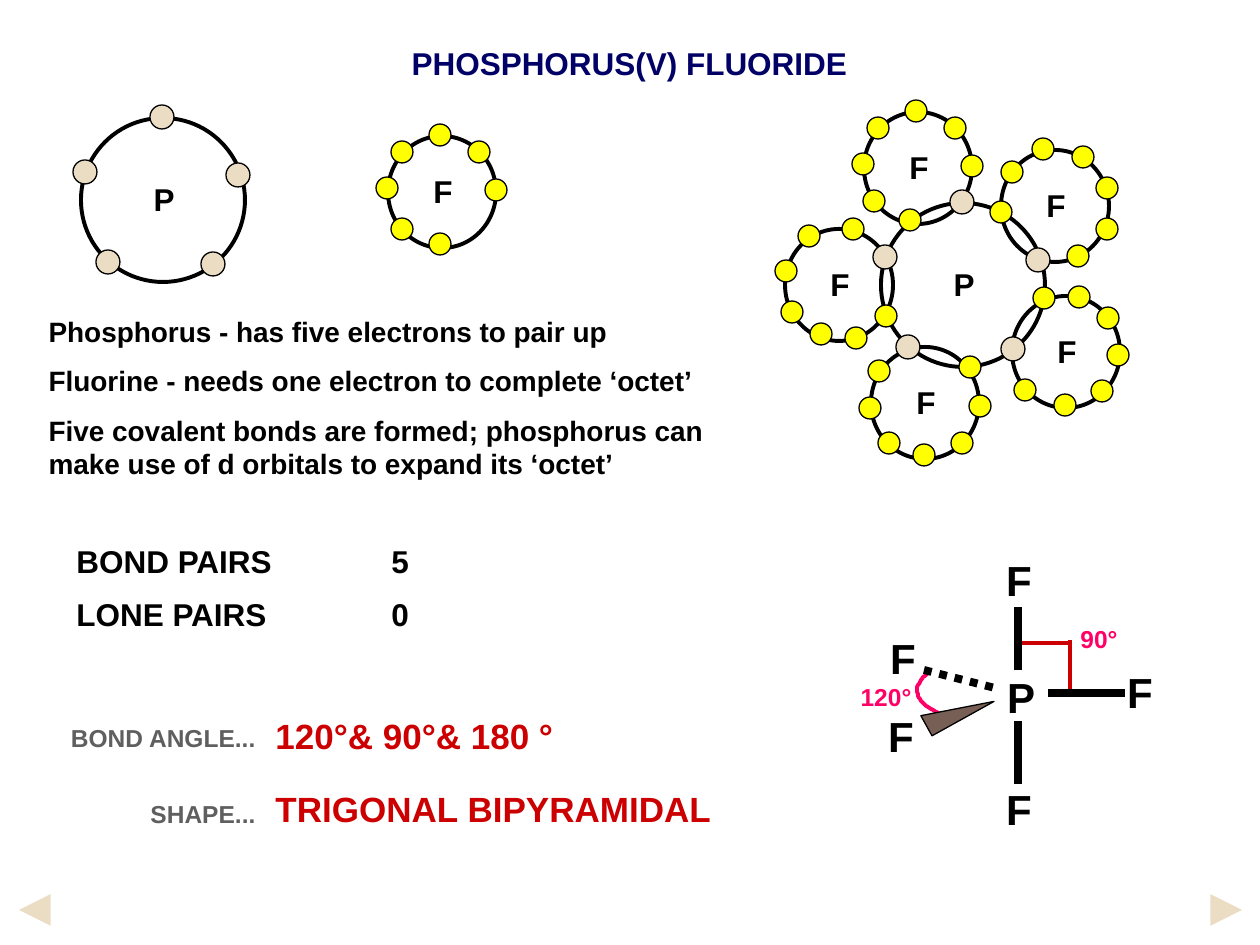
import pptx
import pptx.util
import pptx.dml.color
import pptx.enum.dml
import pptx.enum.shapes
import pptx.enum.text
import pptx.oxml.ns
from lxml import etree

RGB = pptx.dml.color.RGBColor
BLACK = RGB(0x00, 0x00, 0x00)
NAVY = RGB(0x00, 0x00, 0x66)
RED = RGB(0xCC, 0x00, 0x00)
PINK = RGB(0xFF, 0x00, 0x66)
GREY = RGB(0x5F, 0x5F, 0x5F)
TAN = RGB(0xEB, 0xDD, 0xC3)
YELLOW = RGB(0xFF, 0xFF, 0x00)
BROWN = RGB(0x77, 0x5F, 0x55)

KIND = pptx.enum.shapes.MSO_SHAPE
ALIGN = pptx.enum.text.PP_ALIGN
qn = pptx.oxml.ns.qn
SCALE = 914400 / 126

P_DOTS = [(-1, -83), (-78, -28), (-55, 62), (50, 64), (75, -25)]
F_DOTS = [(54, -2), (-2, -57), (-55, -4), (37, -40), (-40, -40), (-2, 52), (-40, 37)]
P_ATOM = ("P", 164, 164, 24, TAN, P_DOTS)
F_ATOM = ("F", 108, 112, 22, YELLOW, F_DOTS)
BONDED = [
    (144, 69, F_DOTS[:5] + [(-8, 52), (-44, 33)]),
    (65, 186, [(17, 53), (14, -56), (-53, -14), (47, 31), (-30, -49), (-18, 49), (-47, 27)]),
    (292, 253, [(36, 39), (13, -55), (42, -34), (52, 3), (-22, -54), (-1, 53), (-41, 38)]),
    (281, 107, [(52, 23), (28, -49), (-43, -34), (52, -18), (-12, -57), (23, 50), (-54, 6)]),
    (151, 304, [(55, 3), (37, 40), (-55, 5), (45, -36), (-46, -32), (-1, 52), (-36, 40)]),
]


def px(n):
    """Turn pixels into EMU."""
    return pptx.util.Emu(round(n * SCALE))


def style(frame, size, color, align=ALIGN.LEFT, gap=0, pitch=None, wrap=False):
    """Format every paragraph and run of a text frame."""
    frame.auto_size = pptx.enum.text.MSO_AUTO_SIZE.NONE
    frame.word_wrap = wrap
    frame.vertical_anchor = pptx.enum.text.MSO_ANCHOR.MIDDLE
    for i, para in enumerate(frame.paragraphs):
        para.alignment = align
        para.space_before = pptx.util.Pt(gap if i else 0)
        if pitch:
            para.line_spacing = pptx.util.Pt(pitch)
        for run in para.runs:
            run.font.name = "Arial"
            run.font.size = pptx.util.Pt(size)
            run.font.bold = True
            run.font.color.rgb = color


def place(shape, box):
    """Move a shape to a pixel box."""
    shape.left, shape.top, shape.width, shape.height = map(px, box)


def text(shapes, box, words, size, color, **look):
    """Add a text box."""
    item = shapes.add_textbox(*map(px, box))
    item.text_frame.text = words
    style(item.text_frame, size, color, **look)


def label(shapes, x, y, words, size, color):
    """Add a short text centred on a point."""
    text(shapes, (x - 40, y - 30, 80, 60), words, size, color, align=ALIGN.CENTER)


def shape(shapes, kind, box, fill=None, width=0.75):
    """Add a preset shape with a black outline."""
    item = shapes.add_shape(kind, *map(px, box))
    item.shadow.inherit = False
    if fill is None:
        item.fill.background()
    else:
        item.fill.solid()
        item.fill.fore_color.rgb = fill
    item.line.color.rgb = BLACK
    item.line.width = pptx.util.Pt(width)
    return item


def disc(shapes, x, y, w, h, fill=None, width=0.75):
    """Add an ellipse centred on a point."""
    shape(shapes, KIND.OVAL, (x - w / 2, y - h / 2, w, h), fill, width)


def line(shapes, ends, color, width, dash=None, head=False):
    """Add a straight line, with an arrowhead if asked."""
    item = shapes.add_connector(pptx.enum.shapes.MSO_CONNECTOR.STRAIGHT, *map(px, ends))
    item.line.color.rgb = color
    item.line.width = pptx.util.Pt(width)
    if dash:
        item.line.dash_style = dash
    props = item._element.spPr
    if head:
        etree.SubElement(props.find(qn("a:ln")), qn("a:tailEnd"), type="triangle")
    etree.SubElement(props, qn("a:effectLst"))


def atoms(slide, x, y, parts):
    """Draw shells first, then the electrons and names, from a corner."""
    group = slide.shapes.add_group_shape().shapes
    for left, top, (name, w, h, size, fill, dots) in parts:
        disc(group, x + left, y + top, w, h, width=2.25)
    for left, top, (name, w, h, size, fill, dots) in parts:
        for dx, dy in dots:
            disc(group, x + left + dx, y + top + dy, size, size, fill)
        label(group, x + left + 1, y + top - 1, name, 18, BLACK)


def curve(shapes, x, y, points, steps=24):
    """Draw an open pink Bezier curve."""
    spots = []
    for i in range(steps + 1):
        t = i / steps
        parts = ((1 - t) ** 3, 3 * t * (1 - t) ** 2, 3 * t * t * (1 - t), t ** 3)
        spots.append((x + sum(k * p[0] for k, p in zip(parts, points)),
                      y + sum(k * p[1] for k, p in zip(parts, points))))
    build = shapes.build_freeform(*spots[0], scale=SCALE)
    build.add_line_segments(spots[1:], close=False)
    item = build.convert_to_shape()
    item.shadow.inherit = False
    item.fill.background()
    item.line.color.rgb = PINK
    item.line.width = pptx.util.Pt(2.25)


def model(slide, x, y):
    """Draw the bond model from its top left corner."""
    group = slide.shapes.add_group_shape().shapes
    curve(group, x, y, [(91, 165), (66, 155), (63, 138), (79, 126)])
    for name, left, top in [("F", 171, 32), ("P", 173, 149), ("F", 171, 261),
                            ("F", 292, 144), ("F", 55, 110), ("F", 53, 188)]:
        label(group, x + left, y + top, name, 24, BLACK)
    for name, left, top in [("120°", 38, 149), ("90°", 251, 91)]:
        label(group, x + left, y + top, name, 14, PINK)
    dots = pptx.enum.dml.MSO_LINE.ROUND_DOT
    for (a, b, c, d), color, width, dash in [
        ((200, 145, 277, 145), BLACK, 4.5, None),
        ((170, 173, 170, 236), BLACK, 4.5, None),
        ((170, 59, 170, 122), BLACK, 4.5, None),
        ((174, 95, 222, 95), RED, 2.25, None),
        ((222, 141, 222, 92), RED, 2.25, None),
        ((76, 122, 147, 140), BLACK, 4.5, dots),
    ]:
        line(group, (x + a, y + b, x + c, y + d), color, width, dash)
    wedge = shape(group, KIND.RIGHT_TRIANGLE, (x + 74, y + 149, 71, 23), BROWN)
    wedge.rotation = 331


def heading(slide, box):
    """Fill the title."""
    place(slide.shapes.title, box)
    frame = slide.shapes.title.text_frame
    frame.text = "PHOSPHORUS(V) FLUORIDE"
    style(frame, 18, NAVY, align=ALIGN.CENTER)


def notes(slide, box):
    """Fill the body with plain paragraphs."""
    body = slide.placeholders[1]
    place(body, box)
    body.text_frame.text = "\n".join([
        "Phosphorus - has five electrons to pair up",
        "Fluorine - needs one electron to complete ‘octet’",
        "Five covalent bonds are formed; phosphorus can make use of d orbitals to expand its ‘octet’",
    ])
    for para in body.text_frame.paragraphs:
        props = para._p.get_or_add_pPr()
        props.set("marL", "0")
        props.set("indent", "0")
        etree.SubElement(props, qn("a:buNone"))
    style(body.text_frame, 16, BLACK, gap=9, wrap=True)


def facts(slide, x, y):
    """Write the pair counts, bond angles and shape from a corner."""
    shapes = slide.shapes
    text(shapes, (x + 6, y, 421, 107), "BOND PAIRS\t\t5\nLONE PAIRS\t\t0", 18, BLACK, gap=9)
    text(shapes, (x, y + 148, 210, 154), "BOND ANGLE...\nSHAPE...", 14, GREY,
         align=ALIGN.RIGHT, gap=7, pitch=36)
    text(shapes, (x + 205, y + 158, 461, 146), "120°& 90°& 180 °\nTRIGONAL BIPYRAMIDAL",
         20, RED, gap=10, pitch=32)


def main():
    """Build and save the slide."""
    deck = pptx.Presentation()
    deck.slide_width, deck.slide_height = px(1260), px(945)
    slide = deck.slides.add_slide(deck.slide_layouts[1])
    for start, end in [(1216, 1242), (45, 19)]:
        line(slide.shapes, (start, 910, end, 910), TAN, 6, head=True)
    heading(slide, (399, 38, 461, 50))
    atoms(slide, 388, 136, [(54, 56, F_ATOM)])
    atoms(slide, 81, 118, [(82, 82, P_ATOM)])
    ring = [(x, y, F_ATOM[:5] + (dots,)) for x, y, dots in BONDED]
    atoms(slide, 774, 99, [(189, 186, P_ATOM)] + ring)
    facts(slide, 58, 534)
    model(slide, 848, 548)
    notes(slide, (36, 307, 688, 181))
    deck.save("out.pptx")


if __name__ == "__main__":
    main()
